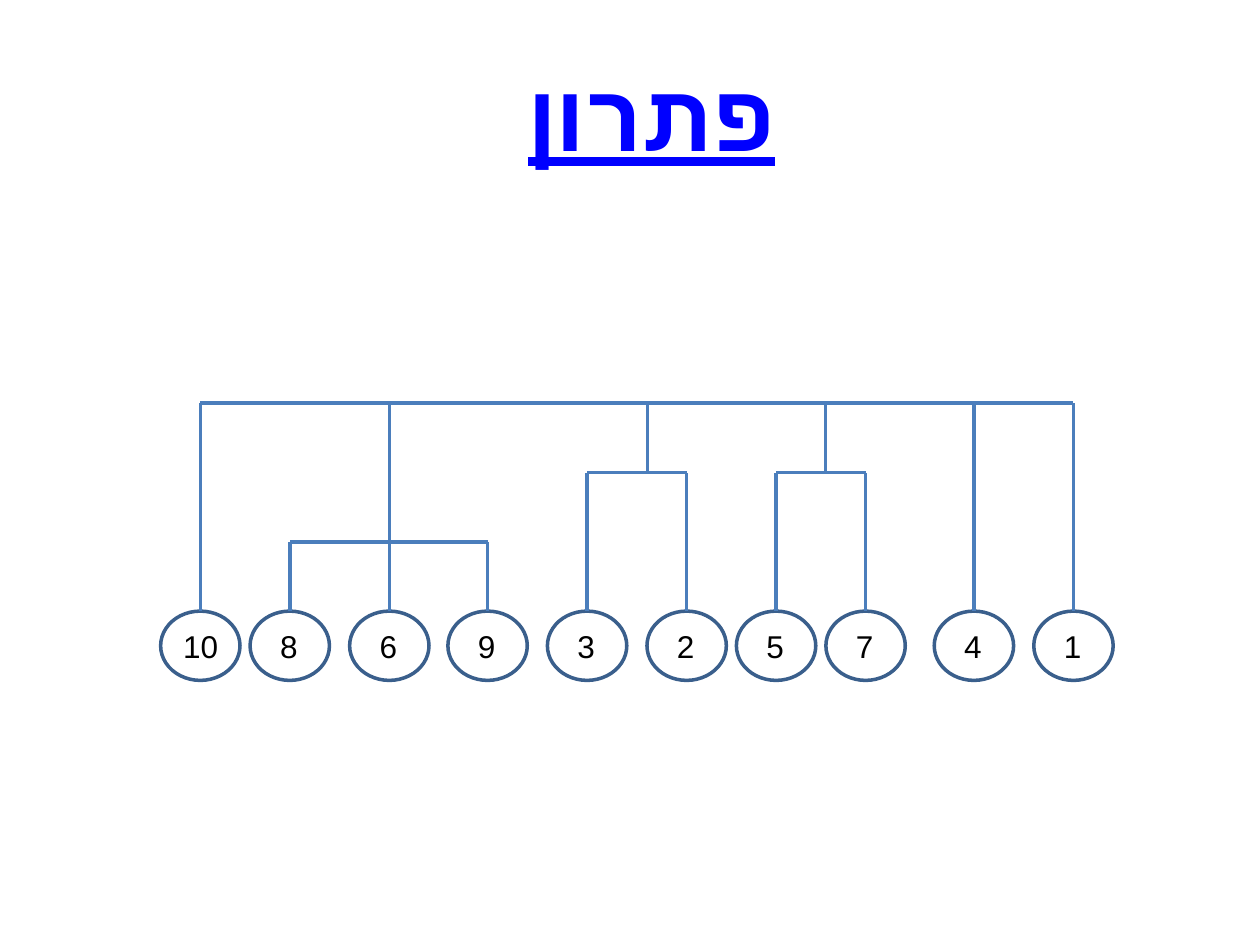
from typing import NamedTuple, Optional

from lxml.etree import SubElement
from pptx import Presentation
from pptx.dml.color import RGBColor
from pptx.enum.shapes import MSO_CONNECTOR, MSO_SHAPE
from pptx.enum.text import MSO_ANCHOR, MSO_AUTO_SIZE, PP_ALIGN
from pptx.oxml.ns import qn
from pptx.util import Inches, Pt

BLUE = RGBColor(0x00, 0x00, 0xFF)
BLACK = RGBColor(0x00, 0x00, 0x00)
OUTLINE = RGBColor(0x3A, 0x5F, 0x8C)
BRANCH = RGBColor(0x4B, 0x7E, 0xBC)

ROOT_Y, PAIR_Y, TRIO_Y, LEAF_Y = 3.2, 3.75, 4.3, 4.85
LEAF_WIDTH, LEAF_HEIGHT = 0.63, 0.55
LABEL_Y, LABEL_HEIGHT = 4.93, 0.4


class Leaf(NamedTuple):
    label: str
    center: float
    stem_top: float


class Cluster(NamedTuple):
    first: float
    last: float
    height: float
    stem: Optional[float] = None  # None when a leaf's own line reaches the root


LEAVES = [
    Leaf("10", 1.59, ROOT_Y),
    Leaf("8", 2.3, TRIO_Y),
    Leaf("6", 3.09, ROOT_Y),
    Leaf("9", 3.87, TRIO_Y),
    Leaf("3", 4.66, PAIR_Y),
    Leaf("2", 5.45, PAIR_Y),
    Leaf("5", 6.16, PAIR_Y),
    Leaf("7", 6.87, PAIR_Y),
    Leaf("4", 7.73, ROOT_Y),
    Leaf("1", 8.52, ROOT_Y),
]
CLUSTERS = [
    Cluster(1.59, 8.52, ROOT_Y),
    Cluster(2.3, 3.87, TRIO_Y),
    Cluster(4.66, 5.45, PAIR_Y, stem=5.14),
    Cluster(6.16, 6.87, PAIR_Y, stem=6.55),
]


def add_text(page, text: str, left: float, top: float, width: float, height: float, *,
             font: str, size: float, color: RGBColor, align=PP_ALIGN.RIGHT,
             anchor=MSO_ANCHOR.TOP, auto_size=MSO_AUTO_SIZE.NONE,
             bold: bool = False, underline: bool = False):
    """Add a right-to-left text box."""
    box = page.shapes.add_textbox(Inches(left), Inches(top), Inches(width), Inches(height))
    frame = box.text_frame
    frame.word_wrap = True
    frame.auto_size = auto_size
    frame.vertical_anchor = anchor
    para = frame.paragraphs[0]
    para.alignment = align
    para._p.get_or_add_pPr().set("rtl", "1")
    span = para.add_run()
    span.text = text
    span.font.name = font
    span.font.size = Pt(size)
    span.font.bold = bold
    span.font.underline = underline
    span.font.color.rgb = color
    SubElement(span._r.get_or_add_rPr(), qn("a:cs"), typeface=font)
    return box


def add_line(page, x1: float, y1: float, x2: float, y2: float):
    line = page.shapes.add_connector(
        MSO_CONNECTOR.STRAIGHT, Inches(x1), Inches(y1), Inches(x2), Inches(y2))
    line.line.color.rgb = BRANCH
    line.line.width = Pt(2)
    SubElement(line._element.spPr, qn("a:effectLst"))
    return line


def add_leaf(page, leaf: Leaf) -> None:
    """Draw a numbered circle and the line rising from its top."""
    circle = page.shapes.add_shape(
        MSO_SHAPE.OVAL, Inches(leaf.center - LEAF_WIDTH / 2), Inches(LEAF_Y),
        Inches(LEAF_WIDTH), Inches(LEAF_HEIGHT))
    circle.shadow.inherit = False
    circle.fill.background()
    circle.line.color.rgb = OUTLINE
    circle.line.width = Pt(2)

    two_digits = len(leaf.label) > 1
    width = 0.63 if two_digits else 0.24
    right = leaf.center + (0.24 if two_digits else 0.16)
    add_text(page, leaf.label, right - width, LABEL_Y, width, LABEL_HEIGHT,
             font="Arial", size=18, color=BLACK, auto_size=MSO_AUTO_SIZE.SHAPE_TO_FIT_TEXT)

    stem = add_line(page, leaf.center, LEAF_Y, leaf.center, leaf.stem_top)
    stem.begin_connect(circle, 0)


def add_cluster(page, cluster: Cluster) -> None:
    """Draw a horizontal bar and, if it has one, its stem to the root."""
    add_line(page, cluster.last, cluster.height, cluster.first, cluster.height)
    if cluster.stem is not None:
        add_line(page, cluster.stem, cluster.height, cluster.stem, ROOT_Y)


def main() -> None:
    deck = Presentation()
    deck.slide_width, deck.slide_height = Inches(10), Inches(7.5)
    page = deck.slides.add_slide(deck.slide_layouts[6])
    add_text(page, "פתרון", 0.67, 0.28, 9, 1.25, font="Calibri", size=54, color=BLUE,
             align=PP_ALIGN.CENTER, anchor=MSO_ANCHOR.MIDDLE, bold=True, underline=True)
    for leaf in LEAVES:
        add_leaf(page, leaf)
    for cluster in CLUSTERS:
        add_cluster(page, cluster)
    deck.save("out.pptx")


if __name__ == "__main__":
    main()
